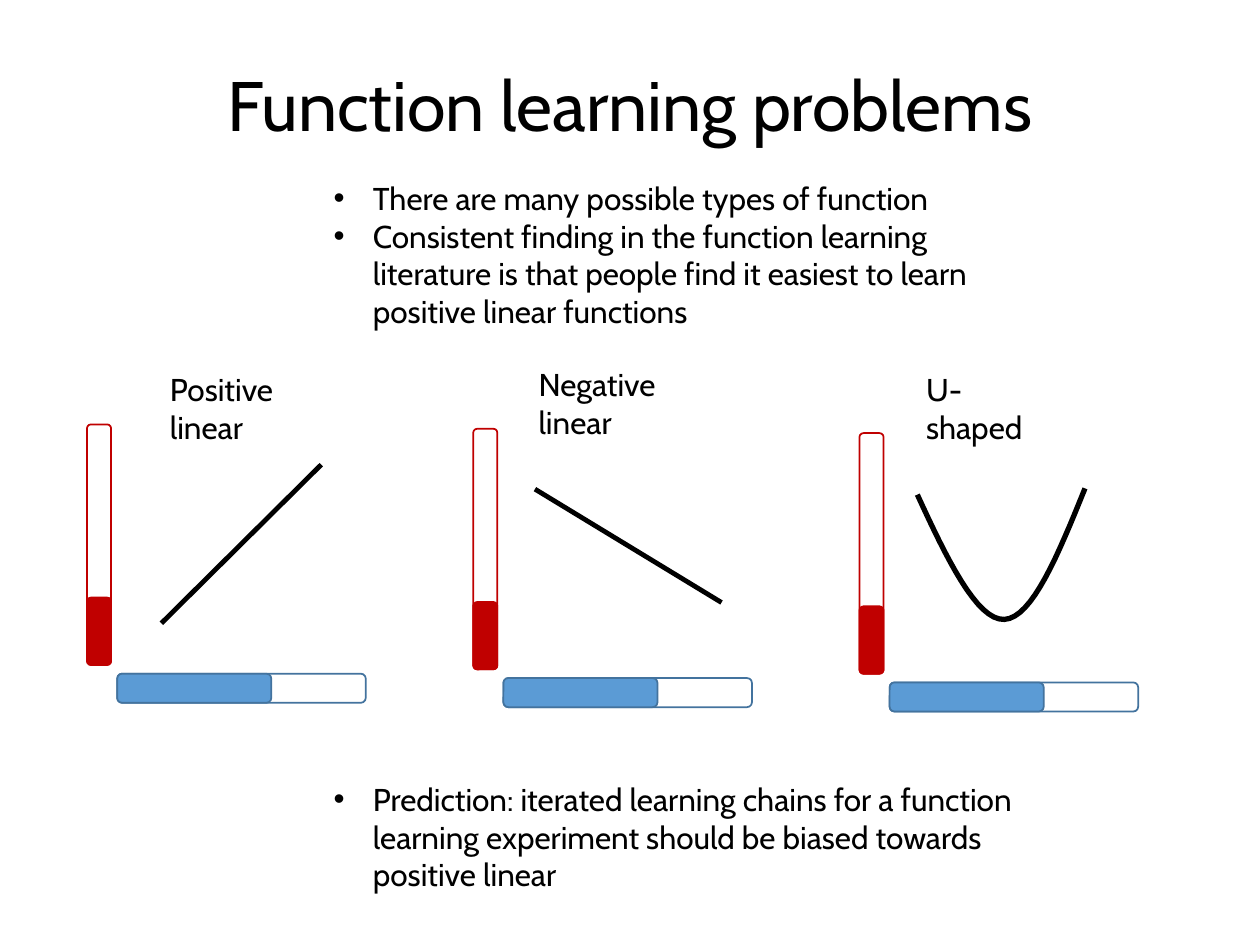
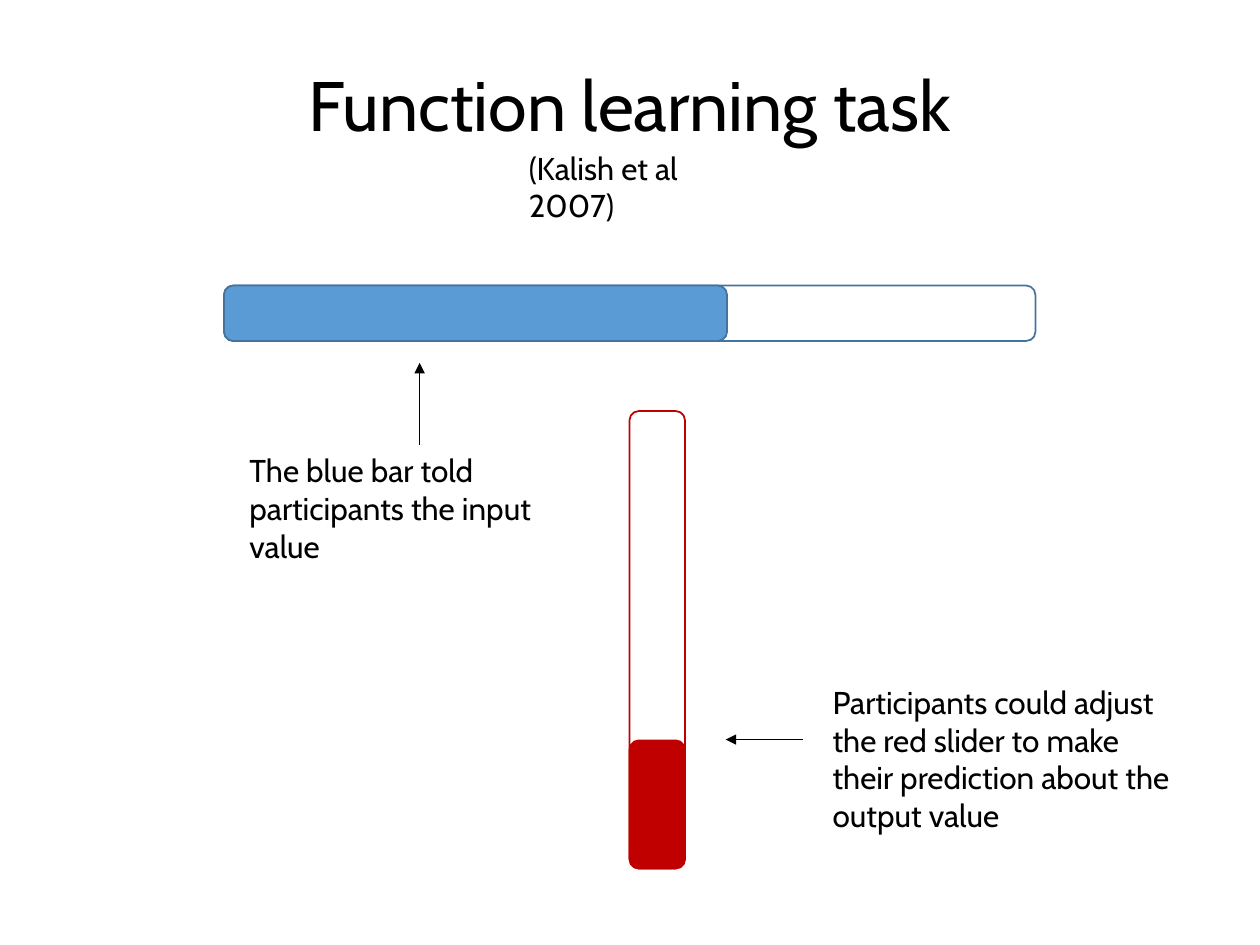
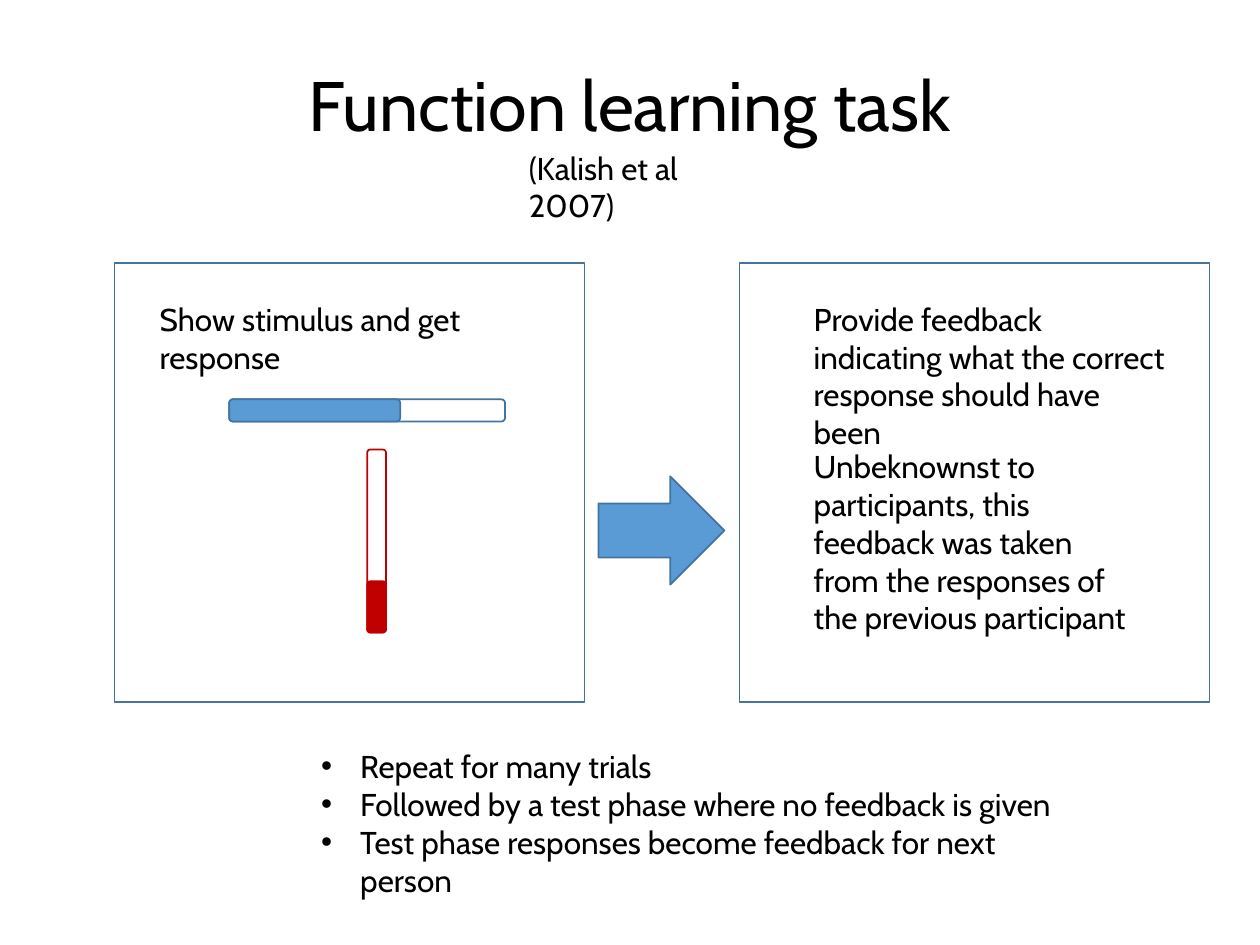
from dataclasses import dataclass

from lxml import etree
from pptx import Presentation
from pptx.dml.color import RGBColor
from pptx.enum.shapes import MSO_CONNECTOR, MSO_SHAPE
from pptx.enum.text import MSO_ANCHOR, MSO_AUTO_SIZE, PP_ALIGN
from pptx.oxml.ns import qn
from pptx.util import Pt

ROUNDED = MSO_SHAPE.ROUNDED_RECTANGLE
RECT = MSO_SHAPE.RECTANGLE
RIGHT_ARROW = MSO_SHAPE.RIGHT_ARROW
STRAIGHT = MSO_CONNECTOR.STRAIGHT
TOP, MIDDLE = MSO_ANCHOR.TOP, MSO_ANCHOR.MIDDLE
LEFT, CENTER = PP_ALIGN.LEFT, PP_ALIGN.CENTER
GROW = MSO_AUTO_SIZE.SHAPE_TO_FIT_TEXT


@dataclass(frozen=True)
class Theme:
    font: str = "Cabin"
    title_size: float = 40
    body_size: float = 18
    ink: str = "000000"
    white: str = "FFFFFF"
    blue: str = "5B9BD5"
    blue_line: str = "43739E"
    red: str = "C00000"
    outline: float = 1
    curve: float = 2.75
    u_curve: float = 3
    pointer: float = 0.5
    bullet_indent: float = 22.4


T = Theme()
INPUT_SHARE = 0.62
OUTPUT_SHARE = 0.28


def rgb(value):
    return RGBColor.from_string(value)


def add_bullet(p):
    pPr = p._p.get_or_add_pPr()
    pPr.set("marL", str(Pt(T.bullet_indent)))
    pPr.set("indent", str(-Pt(T.bullet_indent)))
    etree.SubElement(pPr, qn("a:buFont")).set("typeface", "Arial")
    etree.SubElement(pPr, qn("a:buChar")).set("char", "•")


def add_text(s, box, lines, size=T.body_size, bullets=False, align=LEFT, anchor=TOP):
    tf = s.shapes.add_textbox(*map(Pt, box)).text_frame
    tf.word_wrap = True
    tf.vertical_anchor = anchor
    if anchor == TOP:
        tf.auto_size = GROW
    for i, line in enumerate(lines):
        p = tf.paragraphs[0] if i == 0 else tf.add_paragraph()
        if bullets:
            add_bullet(p)
        p.alignment = align
        r = p.add_run()
        r.text = line
        r.font.name = T.font
        r.font.size = Pt(size)
        r.font.color.rgb = rgb(T.ink)
    return tf


def add_title(s, text, citation=None):
    tf = add_text(s, (50, 29, 620, 66), [text], T.title_size, align=CENTER, anchor=MIDDLE)
    tf.paragraphs[0].line_spacing = 0.9
    if citation:
        add_text(s, (295.2, 81.4, 148.3, 28.8), [citation])


def add_box(s, kind, box, line, fill=None):
    sp = s.shapes.add_shape(kind, *map(Pt, box))
    sp.shadow.inherit = False
    if fill:
        sp.fill.solid()
        sp.fill.fore_color.rgb = rgb(fill)
    else:
        sp.fill.background()
    sp.line.color.rgb = rgb(line)
    sp.line.width = Pt(T.outline)
    return sp


def add_line(s, start, end, width, arrow=False):
    c = s.shapes.add_connector(STRAIGHT, *map(Pt, start + end))
    c.line.color.rgb = rgb(T.ink)
    c.line.width = Pt(width)
    if arrow:
        etree.SubElement(c.line._get_or_add_ln(), qn("a:tailEnd")).set("type", "triangle")
    etree.SubElement(c._element.spPr, qn("a:effectLst"))


def input_bar(s, x, y, w, h):
    add_box(s, ROUNDED, (x, y, w, h), T.blue_line, T.white)
    add_box(s, ROUNDED, (x, y, w * INPUT_SHARE, h), T.blue_line, T.blue)


def output_bar(s, x, y, w, h):
    for share, fill in ((1, T.white), (OUTPUT_SHARE, T.red)):
        length = h * share
        left = x + (w - length) / 2
        top = y + h - (length + w) / 2
        add_box(s, ROUNDED, (left, top, length, w), T.red, fill).rotation = 90


def task_bars(s, x, y, scale_x=1, scale_y=1):
    input_bar(s, x, y, 463.7 * scale_x, 31.7 * scale_y)
    output_bar(s, x + 231.7 * scale_x, y + 71.7 * scale_y, 31.7 * scale_x, 261.4 * scale_y)


def bezier(a, b, c, d, steps=16):
    for t in (i / steps for i in range(steps + 1)):
        u = 1 - t
        yield tuple(u**3 * m + 3 * u * u * t * n + 3 * u * t * t * o + t**3 * q
                    for m, n, o, q in zip(a, b, c, d))


def add_u_curve(s, x, y):
    points = [
        *bezier((15.8, -107.3), (32.4, -71.3), (49.7, -35.3), (65.5, -36)),
        *bezier((65.5, -36), (81.4, -36.7), (96.5, -73.4), (111.6, -110.9)),
    ]
    points = [(Pt(x + dx), Pt(y + dy)) for dx, dy in points]
    fb = s.shapes.build_freeform(*points[0])
    fb.add_line_segments(points[1:], close=False)
    sp = fb.convert_to_shape()
    sp.shadow.inherit = False
    sp.fill.background()
    sp.line.color.rgb = rgb(T.ink)
    sp.line.width = Pt(T.u_curve)


def function_plot(s, x, y, label, label_box, ends=None):
    input_bar(s, x, y, 142, 16.6)
    output_bar(s, x - 17.3, y - 142.5, 13.8, 137.5)
    if ends:
        start, end = ((x + dx, y + dy) for dx, dy in ends)
        add_line(s, start, end, T.curve)
    else:
        add_u_curve(s, x, y)
    dx, dy, w = label_box
    add_text(s, (x + dx, y + dy, w, 28.8), [label])


def problems_slide(s):
    add_title(s, "Function learning problems")
    plots = [
        ("Positive linear", (23, -177.1, 116.6), ((25.2, -28.8), (116.6, -119.5))),
        ("Negative linear", (13, -182.2, 125.3), ((18, -108), (124.6, -43.2))),
        ("U-shaped", (13.7, -182.2, 84.2), None),
    ]
    for i, (label, label_box, ends) in enumerate(plots):
        function_plot(s, 67 + 220.7 * i, 385 + 2.5 * i, label, label_box, ends)
    add_text(s, (183.6, 98.6, 406.8, 94.3), [
        "There are many possible types of function",
        "Consistent finding in the function learning literature is that people "
        "find it easiest to learn positive linear functions",
    ], bullets=True)
    add_text(s, (183.6, 442.1, 406.8, 72.7), [
        "Prediction: iterated learning chains for a function learning experiment "
        "should be biased towards positive linear",
    ], bullets=True)


def task_slide(s):
    add_title(s, "Function learning task", "(Kalish et al 2007)")
    task_bars(s, 128, 163.2)
    add_text(s, (468.7, 386.6, 209.5, 94.3), [
        "Participants could adjust the red slider to make their prediction "
        "about the output value",
    ])
    add_line(s, (458.6, 422.6), (414.7, 422.6), T.pointer, arrow=True)
    add_text(s, (135.4, 254.2, 209.5, 72.7), [
        "The blue bar told participants the input value",
    ])
    add_line(s, (239.8, 254.2), (239.8, 207.4), T.pointer, arrow=True)


def stimulus_panel(s, x, y, w, h):
    task_bars(s, x + 65.5, y + 77.7, 0.34, 0.4)
    add_text(s, (x + 18.7, y + 17.3, 249.8, 28.8), ["Show stimulus and get response"])
    add_box(s, RECT, (x, y, w, h), T.blue_line)


def feedback_panel(s, x, y, w, h):
    add_text(s, (x + 35.3, y + 17.3, 215.3, 72.7), [
        "Provide feedback indicating what the correct response should have been",
    ])
    add_box(s, RECT, (x, y, w, h), T.blue_line)
    add_text(s, (x + 35.3, y + 101.5, 203, 116.6), [
        "Unbeknownst to participants, this feedback was taken from the responses "
        "of the previous participant",
    ])


def trial_slide(s):
    add_title(s, "Function learning task", "(Kalish et al 2007)")
    stimulus_panel(s, 65.5, 150.5, 268.6, 250.6)
    add_box(s, RIGHT_ARROW, (342, 272.2, 72, 61.9), T.blue_line, T.blue)
    feedback_panel(s, 422.6, 150.5, 268.6, 250.6)
    add_text(s, (176.4, 423.4, 450.7, 72.7), [
        "Repeat for many trials",
        "Followed by a test phase where no feedback is given",
        "Test phase responses become feedback for next person",
    ], bullets=True)


def main():
    prs = Presentation()
    prs.slide_width, prs.slide_height = Pt(720), Pt(540)
    for build in (problems_slide, task_slide, trial_slide):
        build(prs.slides.add_slide(prs.slide_layouts[6]))
    prs.save("out.pptx")


if __name__ == "__main__":
    main()
